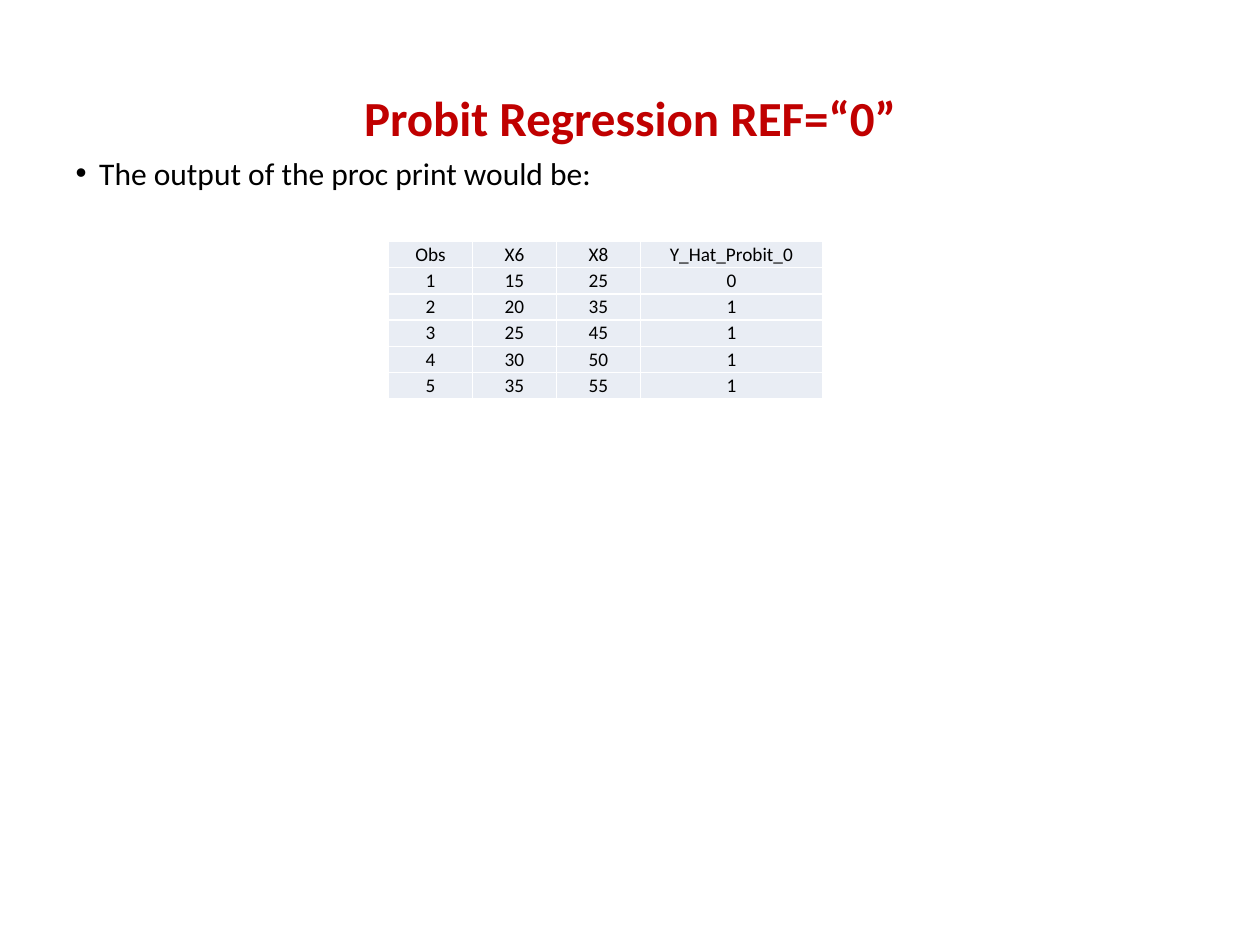
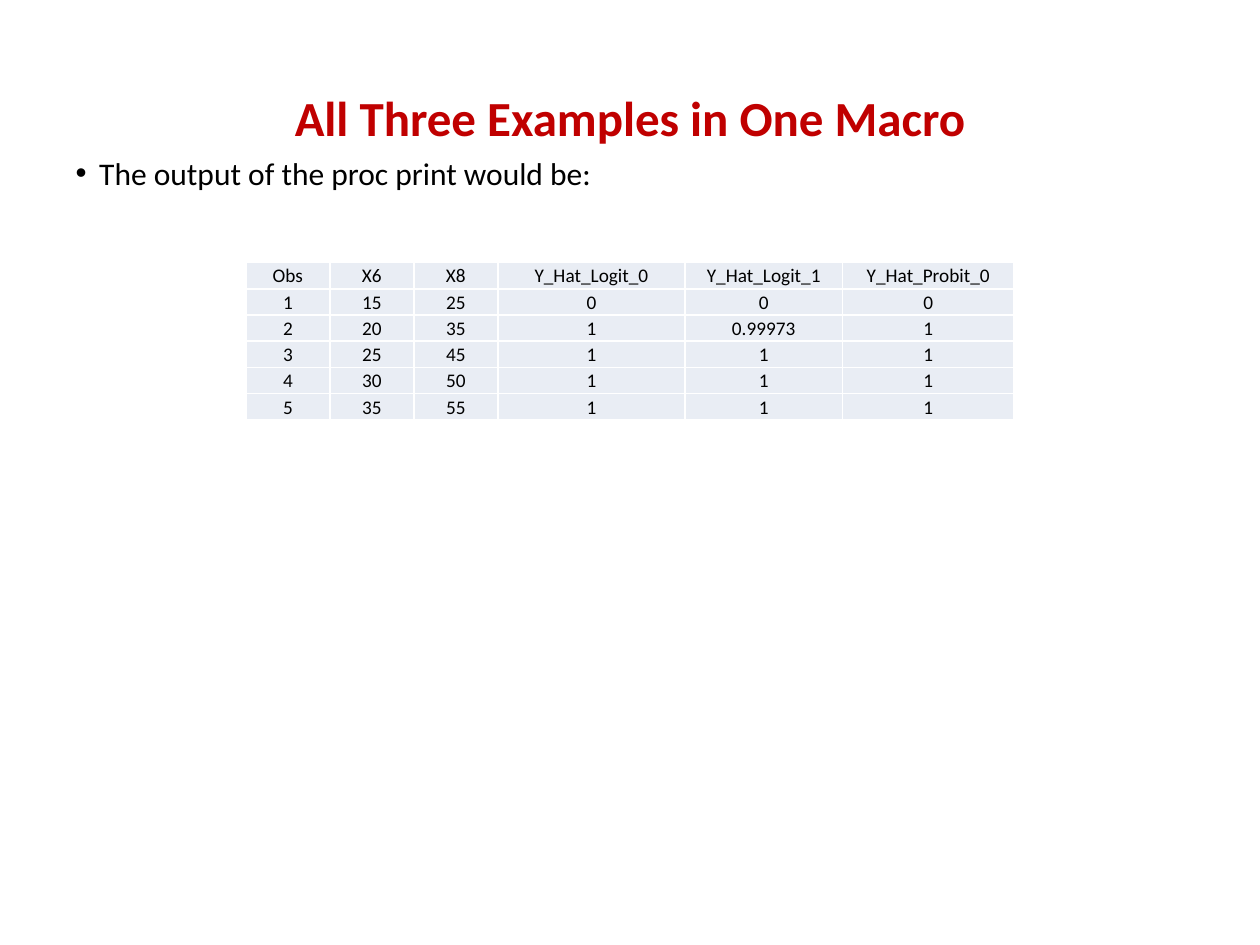
from lxml.etree import SubElement
from pptx import Presentation
from pptx.dml.color import RGBColor
from pptx.enum.text import MSO_ANCHOR, MSO_AUTO_SIZE, PP_ALIGN
from pptx.oxml.ns import qn
from pptx.util import Pt

COLORS = {"title": "C00000", "text": "000000", "cell": "E9EDF4", "border": "FFFFFF"}
FONT = "Calibri"
INTRO = "The output of the proc print would be:"
ROW_HEIGHT = 15
OBSERVATION_WIDTHS = [48, 48, 48]
OBSERVATIONS = [
    ["Obs", "X6", "X8"],
    ["1", "15", "25"],
    ["2", "20", "35"],
    ["3", "25", "45"],
    ["4", "30", "50"],
    ["5", "35", "55"],
]
PROBIT_0 = ["Y_Hat_Probit_0", "0", "1", "1", "1", "1"]
LOGIT_0 = ["Y_Hat_Logit_0", "0", "1", "1", "1", "1"]
LOGIT_1 = ["Y_Hat_Logit_1", "0", "0.99973", "1", "1", "1"]

PAGES = [
    {
        "title": "Probit Regression REF=“0”",
        "left": 222,
        "top": 138,
        "anchor": MSO_ANCHOR.TOP,
        "predictions": [(104, PROBIT_0)],
    },
    {
        "title": "All Three Examples in One Macro",
        "left": 140.5,
        "top": 150,
        "anchor": MSO_ANCHOR.MIDDLE,
        "predictions": [(107, LOGIT_0), (90, LOGIT_1), (98, PROBIT_0)],
    },
]


def format_text(paragraph, size, color, bold=False):
    for span in paragraph.runs:
        span.font.name = FONT
        span.font.size = Pt(size)
        span.font.bold = bold
        span.font.color.rgb = RGBColor.from_string(COLORS[color])


def add_borders(cell):
    properties = cell._tc.get_or_add_tcPr()
    for position, side in enumerate(["a:lnL", "a:lnR", "a:lnT", "a:lnB"]):
        line = SubElement(properties, qn(side), w=str(Pt(1)))
        fill = SubElement(line, qn("a:solidFill"))
        SubElement(fill, qn("a:srgbClr"), val=COLORS["border"])
        properties.insert(position, line)


deck = Presentation()
deck.slide_width = Pt(720)
deck.slide_height = Pt(540)

for content in PAGES:
    page = deck.slides.add_slide(deck.slide_layouts[1])

    title = page.shapes.title
    title.left, title.top, title.width, title.height = Pt(36), Pt(21.6), Pt(648), Pt(90)
    title.text_frame.text = content["title"]
    title.text_frame.vertical_anchor = MSO_ANCHOR.MIDDLE
    title.text_frame.paragraphs[0].alignment = PP_ALIGN.CENTER
    format_text(title.text_frame.paragraphs[0], 28, "title", bold=True)

    body = page.placeholders[1]
    body.left, body.top, body.width, body.height = Pt(36), Pt(84.24), Pt(648), Pt(29)
    body.text_frame.text = INTRO
    body.text_frame.auto_size = MSO_AUTO_SIZE.SHAPE_TO_FIT_TEXT
    para = body.text_frame.paragraphs[0]
    para.space_before = Pt(0)
    indent = para._p.get_or_add_pPr()
    indent.set("marL", str(Pt(13.5)))
    indent.set("indent", str(-Pt(13.5)))
    format_text(para, 18, "text")

    widths = OBSERVATION_WIDTHS + [width for width, values in content["predictions"]]
    columns = [values for width, values in content["predictions"]]
    rows = [row + list(extra) for row, extra in zip(OBSERVATIONS, zip(*columns))]
    table = page.shapes.add_table(
        len(rows), len(widths), Pt(content["left"]), Pt(content["top"]),
        Pt(sum(widths)), Pt(ROW_HEIGHT * len(rows)),
    ).table
    for column, width in zip(table.columns, widths):
        column.width = Pt(width)
    for row, values in zip(table.rows, rows):
        row.height = Pt(ROW_HEIGHT)
        for cell, value in zip(row.cells, values):
            cell.text_frame.text = value
            cell.margin_left = cell.margin_right = cell.margin_top = Pt(0.72)
            cell.margin_bottom = Pt(0)
            cell.vertical_anchor = content["anchor"]
            cell.fill.solid()
            cell.fill.fore_color.rgb = RGBColor.from_string(COLORS["cell"])
            add_borders(cell)
            cell.text_frame.paragraphs[0].alignment = PP_ALIGN.CENTER
            format_text(cell.text_frame.paragraphs[0], 11, "text")

deck.save("out.pptx")
